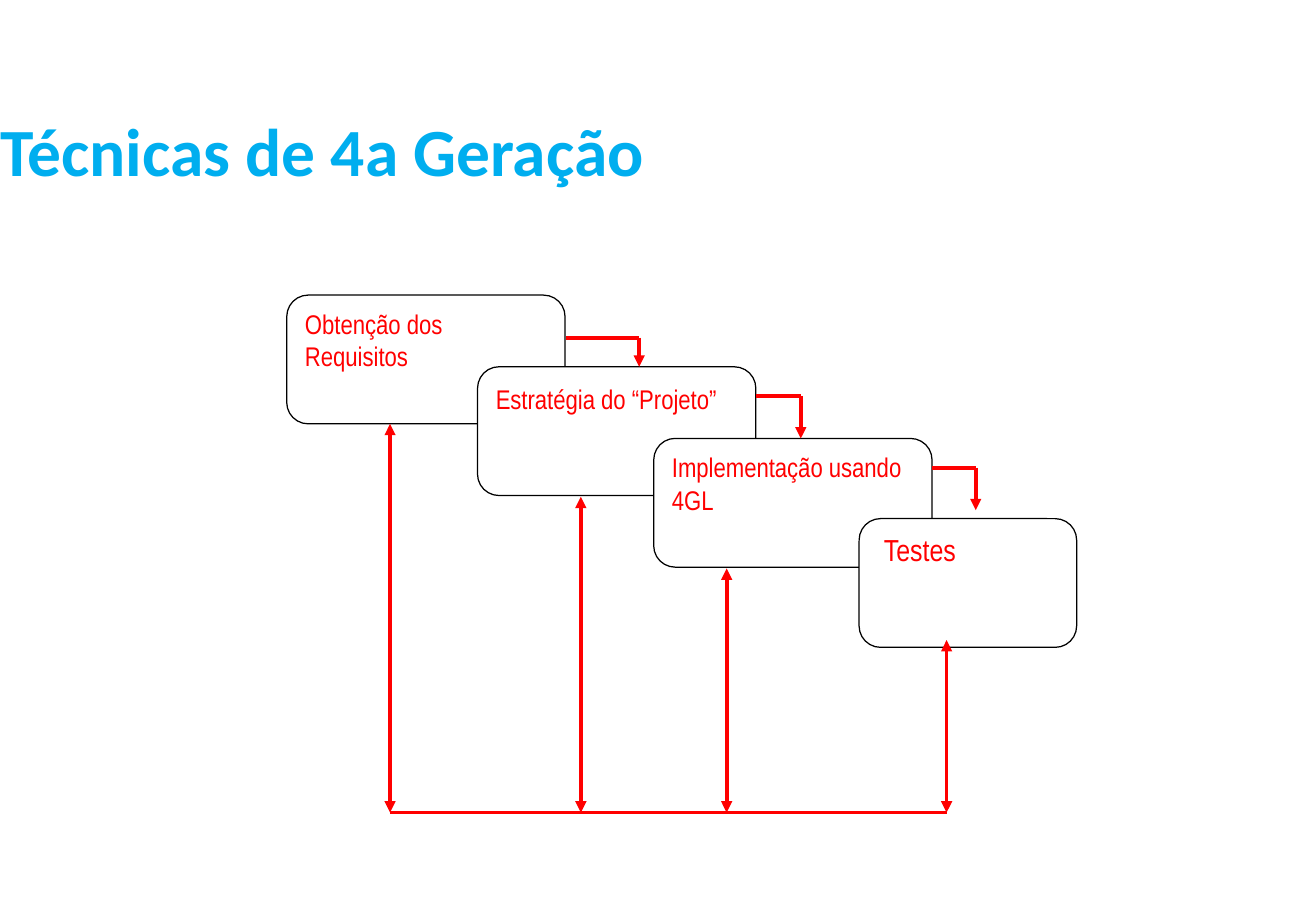
import pptx
import pptx.util
import pptx.dml.color
import pptx.enum.shapes
import pptx.enum.text
import pptx.oxml.ns
from lxml import etree

Inches = pptx.util.Inches
Pt = pptx.util.Pt
RGBColor = pptx.dml.color.RGBColor
Anchor = pptx.enum.text.MSO_ANCHOR
Align = pptx.enum.text.PP_ALIGN
qn = pptx.oxml.ns.qn

SKY = RGBColor(0x00, 0xAE, 0xEF)
RED = RGBColor(0xFF, 0x00, 0x00)
BLACK = RGBColor(0x00, 0x00, 0x00)
WHITE = RGBColor(0xFF, 0xFF, 0xFF)

# Stage: left, top, width, runs, x of its feedback arrow, top of that arrow
STAGES = [
    (0, 0, 2.29, [("Obtenção dos Requisitos", 16)], 0.85, 1.06),
    (1.57, 0.59, 2.29, [("Estratégia do “Projeto”", 16), (" ", 18)], 2.42, 1.66),
    (3.02, 1.18, 2.29, [("Implementação usando 4GL", 16)], 3.62, 2.25),
    (4.71, 1.84, 1.79, [(" ", 18), ("Testes", 18)], 5.43, 2.84),
]
HIGH = 1.06
# Step arrow: start x, turn x, start y, end y
STEPS = [(2.3, 2.9, 0.35, 0.59), (3.86, 4.23, 0.83, 1.18), (5.31, 5.67, 1.42, 1.77)]


def apply(item, values):
    for name, value in values.items():
        setattr(item, name, value)


def write(para, text, size, face, color, bold=False):
    run = para.add_run()
    run.text = text
    apply(run.font, {"name": face, "size": Pt(size), "bold": bold})
    run.font.color.rgb = color


def draw_title(slide, left, top, width, height):
    frame = slide.shapes.add_textbox(
        Inches(left), Inches(top), Inches(width), Inches(height)).text_frame
    apply(frame, {"word_wrap": True, "vertical_anchor": Anchor.MIDDLE,
                  "margin_left": 0, "margin_right": 0,
                  "margin_top": 0, "margin_bottom": 0})
    para = frame.paragraphs[0]
    para.line_spacing = 0.8
    write(para, "Técnicas de 4a Geração", 40, "Calibri", SKY, True)


def draw_stage(slide, left, top, width, runs):
    shape = slide.shapes.add_shape(
        pptx.enum.shapes.MSO_SHAPE.ROUNDED_RECTANGLE,
        Inches(left), Inches(top), Inches(width), Inches(HIGH))
    shape.shadow.inherit = False
    shape.fill.solid()
    shape.fill.fore_color.rgb = WHITE
    shape.line.color.rgb = BLACK
    shape.line.width = Pt(0.75)
    frame = shape.text_frame
    apply(frame, {"word_wrap": True, "vertical_anchor": Anchor.TOP})
    para = frame.paragraphs[0]
    para.alignment = Align.LEFT
    for text, size in runs:
        write(para, text, size, "Arial Narrow", RED)


def draw_line(slide, x1, y1, x2, y2, ends=()):
    line = slide.shapes.add_connector(
        pptx.enum.shapes.MSO_CONNECTOR.STRAIGHT,
        Inches(x1), Inches(y1), Inches(x2), Inches(y2))
    line.line.color.rgb = RED
    line.line.width = Pt(2.25)
    props = line.element.spPr
    for end in ends:
        etree.SubElement(props.find(qn("a:ln")), qn(end), type="triangle")
    etree.SubElement(props, qn("a:effectLst"))


def draw_flow(slide, left, top, height):
    # Overlapping stages
    for x, y, width, runs, _, _ in STAGES:
        draw_stage(slide, left + x, top + y, width, runs)
    # Steps from one stage to the next
    for x, turn, y, end in STEPS:
        draw_line(slide, left + x, top + y, left + turn, top + y)
        draw_line(slide, left + turn, top + y, left + turn, top + end, ["a:tailEnd"])
    # Feedback arrows on a common base line
    base = top + height
    draw_line(slide, left + STAGES[0][4], base, left + STAGES[-1][4], base)
    for *_, x, y in STAGES:
        draw_line(slide, left + x, top + y, left + x, base, ["a:headEnd", "a:tailEnd"])


def main():
    deck = pptx.Presentation()
    apply(deck, {"slide_width": Inches(10.83), "slide_height": Inches(7.5)})
    slide = deck.slides.add_slide(deck.slide_layouts[6])
    draw_title(slide, 0, 0.67, 9.21, 1.25)
    draw_flow(slide, 2.36, 2.43, 4.26)
    deck.save("out.pptx")


if __name__ == "__main__":
    main()
